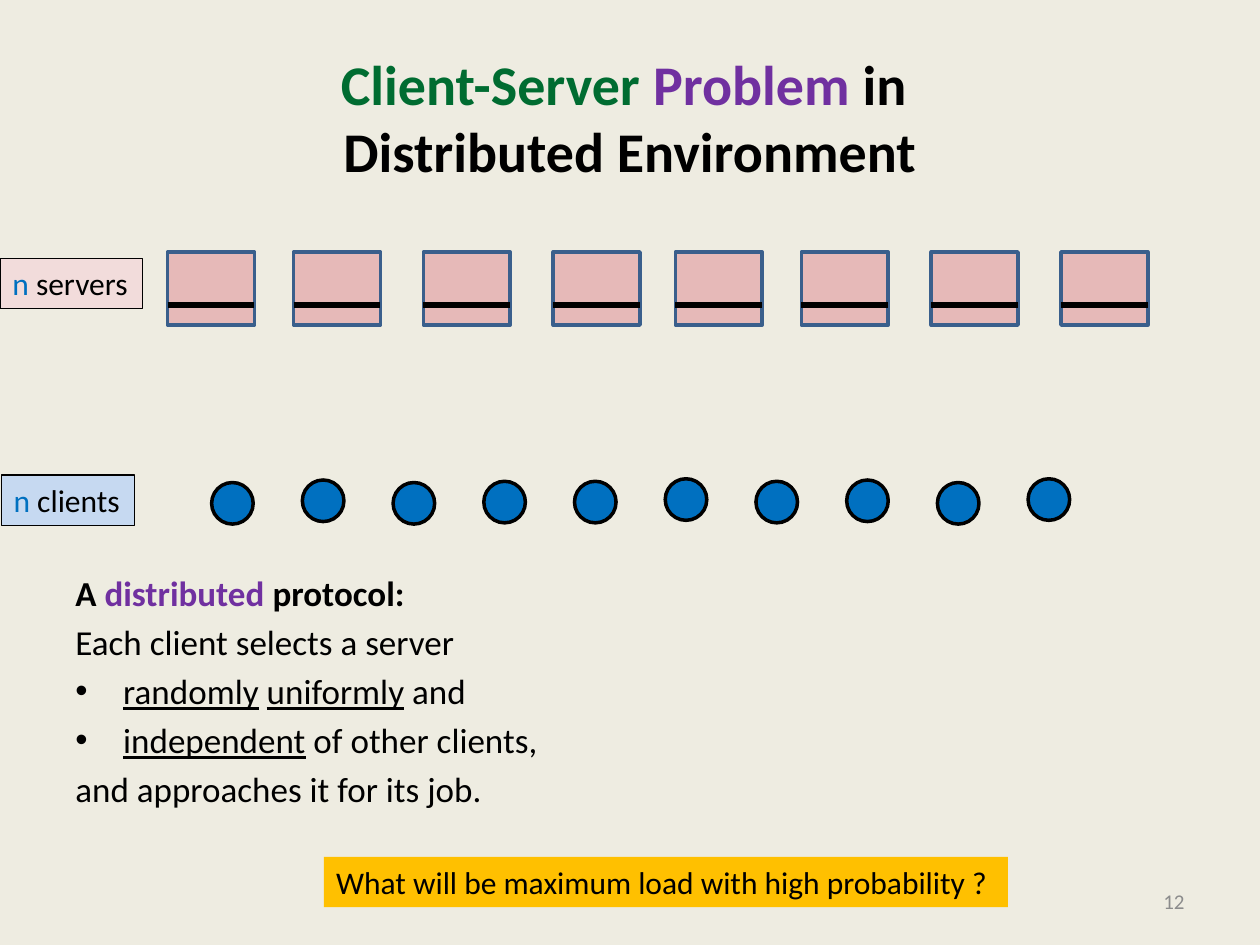
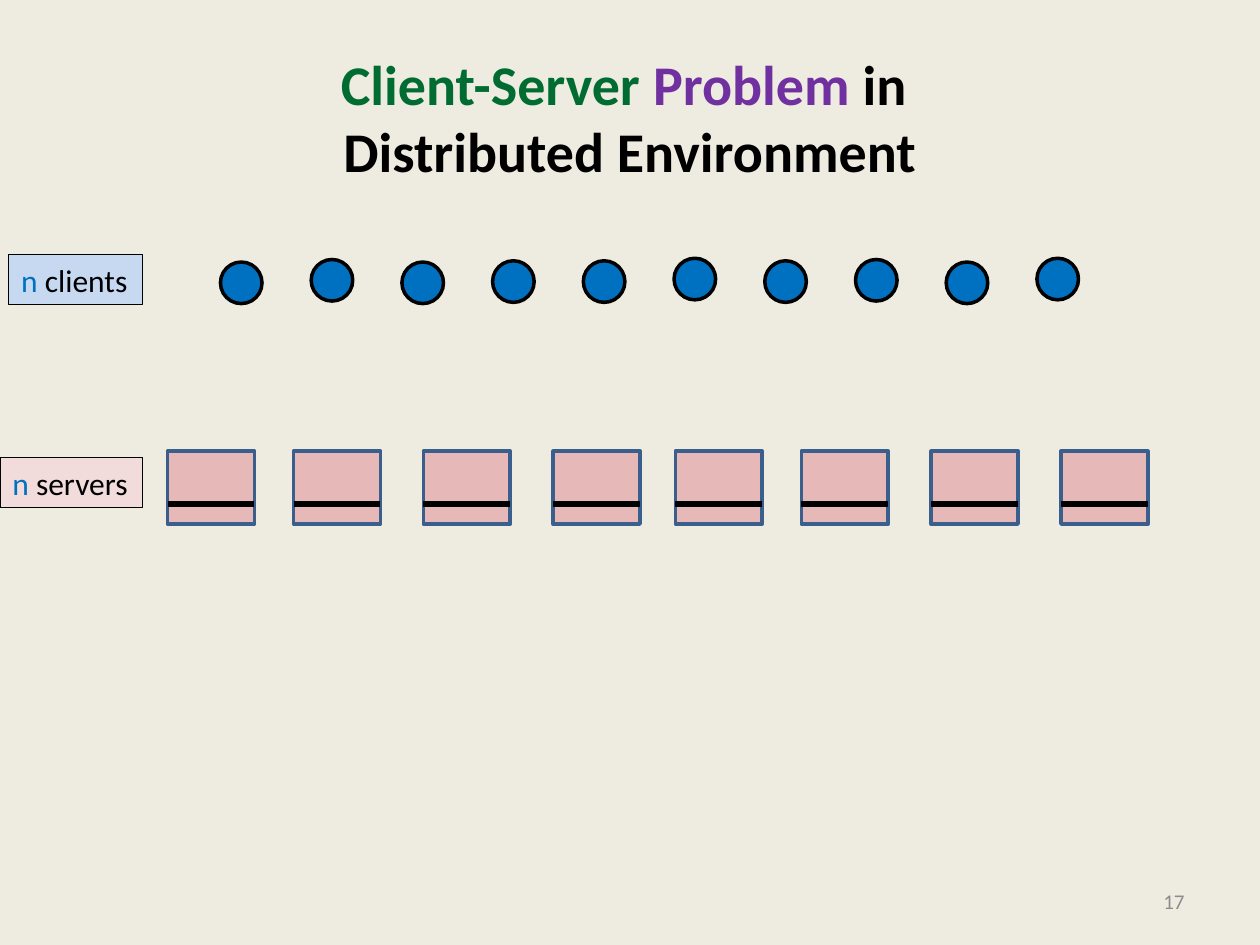
from lxml.etree import SubElement
from pptx import Presentation
from pptx.dml.color import RGBColor
from pptx.enum.shapes import MSO_CONNECTOR, MSO_SHAPE
from pptx.enum.text import MSO_ANCHOR, MSO_AUTO_SIZE, PP_ALIGN
from pptx.oxml.ns import qn
from pptx.util import Inches, Pt

FONT = "Calibri"
BLACK, GREEN, PURPLE, BLUE, GREY = "000000", "006C31", "7030A0", "0070C0", "8C8C8C"
PAPER, PINK, PALE_PINK, PALE_BLUE = "EEECE1", "E6B9B8", "F2DCDB", "C6D9F1"
SERVER_EDGE, AMBER = "3A5F8C", "FFC000"

SERVER_LEFTS = (1.33, 2.33, 3.36, 4.39, 5.36, 6.36, 7.39, 8.42)
SERVER_WIDTH, SERVER_HEIGHT, LOAD_LEVEL = 0.69, 0.58, 0.42
CLIENT_PITCH, CLIENT_SIZE = 0.72, 0.33
CLIENT_DROPS = (0.03, 0.01, 0.03, 0.02, 0.02, 0, 0.02, 0.01, 0.03, 0)


def rgb(value):
    return RGBColor.from_string(value)


class Deck:
    def __init__(self):
        self.deck = Presentation()
        self.deck.slide_width = Inches(10)
        self.deck.slide_height = Inches(7.5)
        self.page = None

    def start_page(self, number):
        self.page = self.deck.slides.add_slide(self.deck.slide_layouts[5])
        self.page.background.fill.solid()
        self.page.background.fill.fore_color.rgb = rgb(PAPER)
        self.title()
        box = self.text_box(7.17, 6.95, 2.33, 0.4)
        box.text_frame.vertical_anchor = MSO_ANCHOR.MIDDLE
        box.text_frame.margin_right = Inches(0.1)
        para = self.add_spans(box.text_frame.paragraphs[0], [(number, GREY)], 12)
        para.alignment = PP_ALIGN.RIGHT

    def title(self):
        title = self.page.shapes.title
        title.left, title.top = Inches(0.5), Inches(0.3)
        title.width, title.height = Inches(9), Inches(1.25)
        frame = title.text_frame
        frame.auto_size = MSO_AUTO_SIZE.NONE
        frame.vertical_anchor = MSO_ANCHOR.MIDDLE
        para = frame.paragraphs[0]
        para.alignment = PP_ALIGN.CENTER
        spans = [("Client-Server ", GREEN), ("Problem", PURPLE), (" in ", BLACK)]
        self.add_spans(para, spans, 32, bold=True)
        para.add_line_break()
        self.add_spans(para, [("Distributed Environment", BLACK)], 32, bold=True)

    def add_spans(self, para, spans, size, bold=False):
        para.font.name, para.font.size, para.font.bold = FONT, Pt(size), bold
        for text, color, *underline in spans:
            span = para.add_run()
            span.text = text
            span.font.color.rgb = rgb(color)
            if underline:
                span.font.underline = True
        return para

    def text_box(self, left, top, width, height):
        box = self.page.shapes.add_textbox(
            Inches(left), Inches(top), Inches(width), Inches(height))
        box.text_frame.word_wrap = True
        box.text_frame.margin_right = 0
        return box

    def label(self, left, top, width, spans, fill, outlined=True):
        box = self.text_box(left, top, width, 0.4)
        box.fill.solid()
        box.fill.fore_color.rgb = rgb(fill)
        if outlined:
            box.line.color.rgb = rgb(BLACK)
            box.line.width = Pt(0.75)
        self.add_spans(box.text_frame.paragraphs[0], spans, 18)

    def shape(self, group, kind, left, top, width, height, fill, edge):
        shape = group.shapes.add_shape(
            kind, Inches(left), Inches(top), Inches(width), Inches(height))
        shape.shadow.inherit = False
        shape.fill.solid()
        shape.fill.fore_color.rgb = rgb(fill)
        shape.line.color.rgb = rgb(edge)
        shape.line.width = Pt(2)

    def level_line(self, group, left, top, width):
        line = group.shapes.add_connector(
            MSO_CONNECTOR.STRAIGHT, Inches(left), Inches(top),
            Inches(left + width), Inches(top))
        line.line.color.rgb = rgb(BLACK)
        line.line.width = Pt(3)
        SubElement(line._element.spPr, qn("a:effectLst"))

    def servers(self, top):
        group = self.page.shapes.add_group_shape()
        for left in SERVER_LEFTS:
            self.shape(group, MSO_SHAPE.RECTANGLE, left, top,
                       SERVER_WIDTH, SERVER_HEIGHT, PINK, SERVER_EDGE)
            self.level_line(group, left, top + LOAD_LEVEL, SERVER_WIDTH)
        self.label(0, top + 0.05, 1.13, [("n", BLUE), (" servers", BLACK)], PALE_PINK)

    def clients(self, left, top, label_left):
        group = self.page.shapes.add_group_shape()
        for index, drop in enumerate(CLIENT_DROPS):
            self.shape(group, MSO_SHAPE.OVAL, left + index * CLIENT_PITCH, top + drop,
                       CLIENT_SIZE, CLIENT_SIZE, BLUE, BLACK)
        self.label(label_left, top - 0.03, 1.06,
                   [("n", BLUE), (" clients", BLACK)], PALE_BLUE)

    def protocol(self, heading, lines):
        frame = self.text_box(0.5, 4.49, 9, 2.2).text_frame
        para = self.add_spans(frame.paragraphs[0], heading, 20, bold=True)
        para.space_after = Pt(4)
        for bulleted, spans in lines:
            para = self.add_spans(frame.add_paragraph(), spans, 20)
            para.space_after = Pt(4)
            if bulleted:
                self.bullet(para)

    def bullet(self, para):
        properties = para._p.get_or_add_pPr()
        properties.set("marL", str(Inches(0.38)))
        properties.set("indent", str(-Inches(0.38)))
        SubElement(properties, qn("a:buFont")).set("typeface", "Arial")
        SubElement(properties, qn("a:buChar")).set("char", "•")
        properties.append(properties.find(qn("a:defRPr")))


def main():
    show = Deck()

    show.start_page("12")
    show.protocol(
        [("A ", BLACK), ("distributed", PURPLE), (" protocol:", BLACK)],
        [
            (False, [("Each client selects a server", BLACK)]),
            (True, [("randomly", BLACK, True), (" ", BLACK),
                    ("uniformly", BLACK, True), (" and", BLACK)]),
            (True, [("independent", BLACK, True), (" of other clients,", BLACK)]),
            (False, [("and approaches it for its job.", BLACK)]),
        ])
    show.clients(1.68, 3.8, 0.01)
    show.servers(2)
    show.label(2.57, 6.8, 5.43,
               [("What will be maximum load with high probability ?", BLACK)],
               AMBER, outlined=False)

    show.start_page("17")
    show.clients(1.75, 2.05, 0.07)
    show.servers(3.58)

    show.deck.save("out.pptx")


if __name__ == "__main__":
    main()
